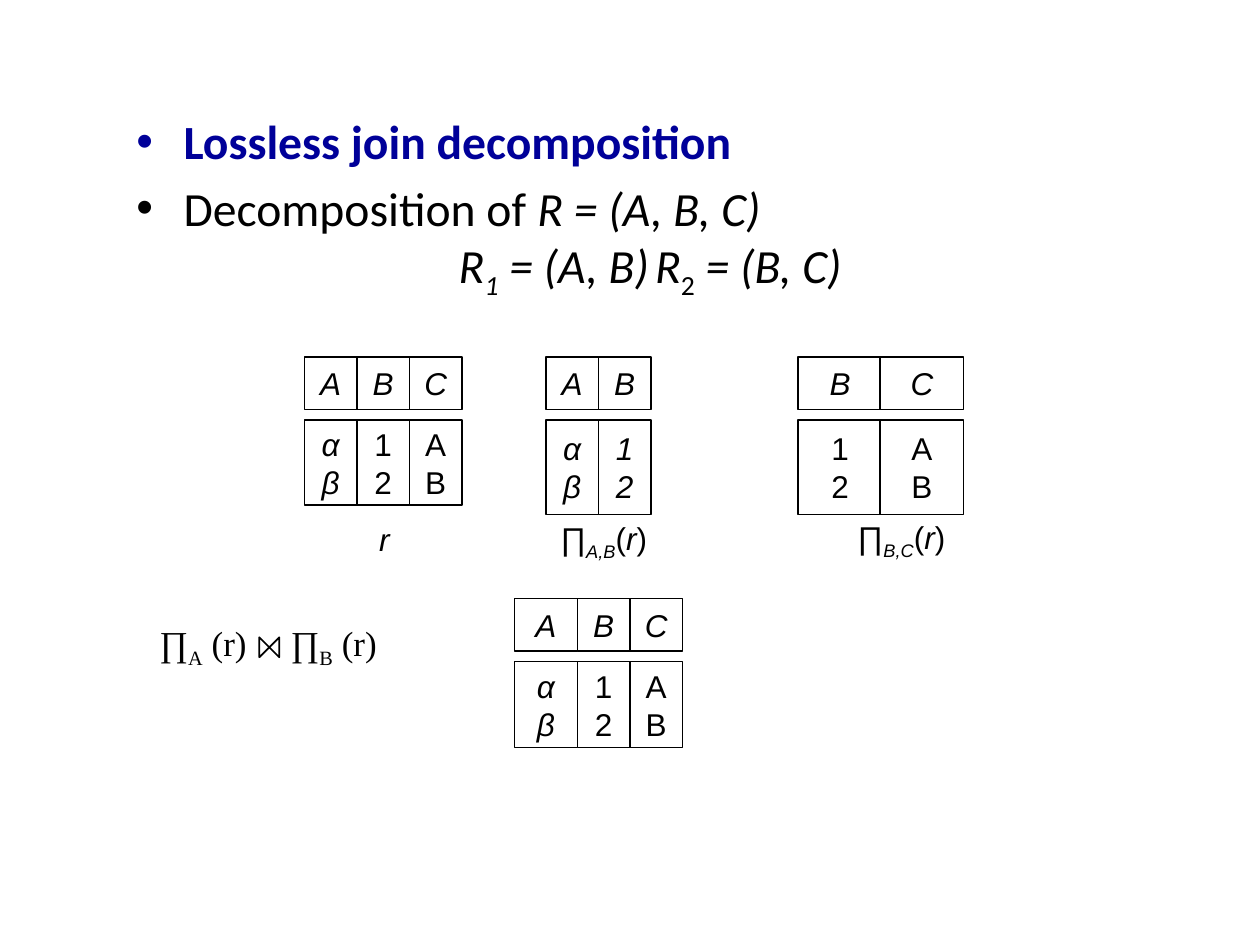
from lxml import etree
from pptx import Presentation
from pptx.dml.color import RGBColor
from pptx.enum.shapes import MSO_SHAPE
from pptx.enum.text import MSO_ANCHOR, MSO_AUTO_SIZE, PP_ALIGN
from pptx.oxml.ns import qn
from pptx.util import Pt

RECTANGLE = MSO_SHAPE.RECTANGLE
MIDDLE = MSO_ANCHOR.MIDDLE
CENTER = PP_ALIGN.CENTER
FIT_SHAPE = MSO_AUTO_SIZE.SHAPE_TO_FIT_TEXT

PX = 7620  # 120 px to the inch
THEME = {
    "black": RGBColor(0, 0, 0),
    "white": RGBColor(255, 255, 255),
    "navy": RGBColor(0, 0, 0x99),
    "body": ("Calibri", Pt(27.2)),
    "cell": ("Arial", Pt(18)),
    "formula": ("Times New Roman", Pt(20)),
}


def add_runs(paragraph, runs, font, color=THEME["black"]):
    """Add (text, style) runs; style letters: b bold, i italic, s subscript."""
    for text, style in runs:
        if text == "\v":
            paragraph.add_line_break()
            continue
        run = paragraph.add_run()
        run.text = text
        run.font.name, run.font.size = THEME[font]
        run.font.color.rgb = color
        run.font.bold = "b" in style
        run.font.italic = "i" in style
        if "s" in style:
            run.font._element.set("baseline", "-25000")


presentation = Presentation()
presentation.slide_width = 1200 * PX
presentation.slide_height = 900 * PX
slide = presentation.slides.add_slide(presentation.slide_layouts[6])
shapes = slide.shapes

# Bulleted text
bullets = [
    ([("Lossless join decomposition", "b")], THEME["navy"]),
    ([("Decomposition of ", ""), ("R = (A, B, C)", "i"), ("\v", ""),
      ("\tR", "i"), ("1", "is"), (" = (A, B)\tR", "i"), ("2", "s"),
      (" = (B, C)", "i")], THEME["black"]),
]
text_frame = shapes.add_textbox(118 * PX, 101 * PX, 918 * PX, 158 * PX).text_frame
text_frame.word_wrap = True
for index, (runs, color) in enumerate(bullets):
    paragraph = text_frame.add_paragraph() if index else text_frame.paragraphs[0]
    properties = paragraph._p.get_or_add_pPr()
    properties.set("marL", str(45 * PX))
    properties.set("indent", str(-45 * PX))
    etree.SubElement(properties, qn("a:buFont"), typeface="Arial")
    etree.SubElement(properties, qn("a:buChar"), char="•")
    tab_list = etree.SubElement(properties, qn("a:tabLst"))
    for position in (307, 494):
        etree.SubElement(tab_list, qn("a:tab"), pos=str(position * PX), algn="l")
    paragraph.space_before = Pt(5.4)
    add_runs(paragraph, runs, "body", color)

# Relations: left, top, body height, columns of (offset, width, name, values, italic)
GREEK = "α\nβ"
NUMBERS = "1\n2"
LETTERS = "A\nB"
relations = [
    (290, 340, 81, [(0, 50, "A", GREEK, True), (50, 50, "B", NUMBERS, False),
                    (100, 50, "C", LETTERS, False)]),
    (520, 340, 90, [(0, 50, "A", GREEK, True), (50, 50, "B", NUMBERS, True)]),
    (760, 340, 90, [(0, 80, "B", NUMBERS, False), (78, 80, "C", LETTERS, False)]),
    (490, 570, 82, [(0, 60, "A", GREEK, True), (60, 50, "B", NUMBERS, False),
                    (110, 50, "C", LETTERS, False)]),
]
for left, top, body_height, columns in relations:
    for offset, width, name, values, italic in columns:
        cells = [(top, 50, name, True), (top + 60, body_height, values, italic)]
        for cell_top, height, text, slanted in cells:
            cell = shapes.add_shape(RECTANGLE, (left + offset) * PX, cell_top * PX,
                                    width * PX, height * PX)
            cell.shadow.inherit = False
            cell.fill.solid()
            cell.fill.fore_color.rgb = THEME["white"]
            cell.line.color.rgb = THEME["black"]
            cell.line.width = Pt(0.75)
            text_frame = cell.text_frame
            text_frame.word_wrap = False
            text_frame.vertical_anchor = MIDDLE
            text_frame.text = text
            for paragraph in text_frame.paragraphs:
                paragraph.alignment = CENTER
                font = paragraph.runs[0].font
                font.name, font.size = THEME["cell"]
                font.color.rgb = THEME["black"]
                font.italic = slanted

# Relation labels: left, top, width, wrap, runs
labels = [(349, 489, 34, False, [("r", "i")])]
for left, top, width, attributes in [(490, 491, 170, "A,B"), (790, 490, 137, "B,C")]:
    projection = [("∏", ""), (attributes, "is"), ("(", ""), ("r", "i"), (")", "")]
    labels.append((left, top, width, True, projection))
for left, top, width, wrap, runs in labels:
    label = shapes.add_textbox(left * PX, top * PX, width * PX, 48 * PX)
    text_frame = label.text_frame
    text_frame.word_wrap = wrap
    text_frame.auto_size = FIT_SHAPE
    text_frame.vertical_anchor = MIDDLE
    text_frame.paragraphs[0].alignment = CENTER
    add_runs(text_frame.paragraphs[0], runs, "cell")

# Join formula: one projection on each side of the join sign
for left, attribute in [(140, "A"), (265, "B")]:
    operand = shapes.add_textbox(left * PX, 586 * PX, 120 * PX, 60 * PX)
    operand.text_frame.word_wrap = False
    add_runs(operand.text_frame.paragraphs[0],
             [("∏", ""), (attribute, "s"), (" (r)", "")], "formula")

# Join sign
builder = shapes.build_freeform(247, 607, scale=PX)
builder.add_line_segments([(247, 626), (266, 607), (266, 626)], close=True)
join_sign = builder.convert_to_shape()
join_sign.shadow.inherit = False
join_sign.fill.background()
join_sign.line.color.rgb = THEME["black"]
join_sign.line.width = Pt(1)

presentation.save("out.pptx")
